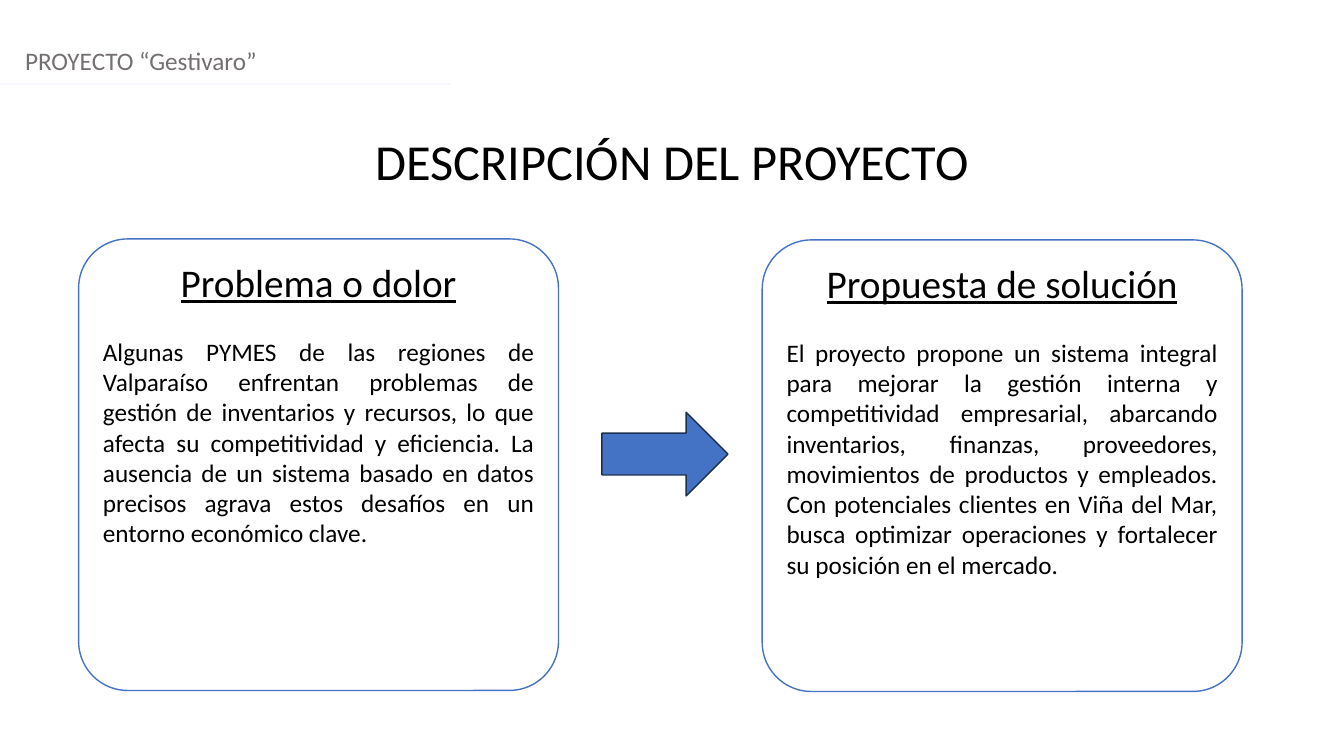
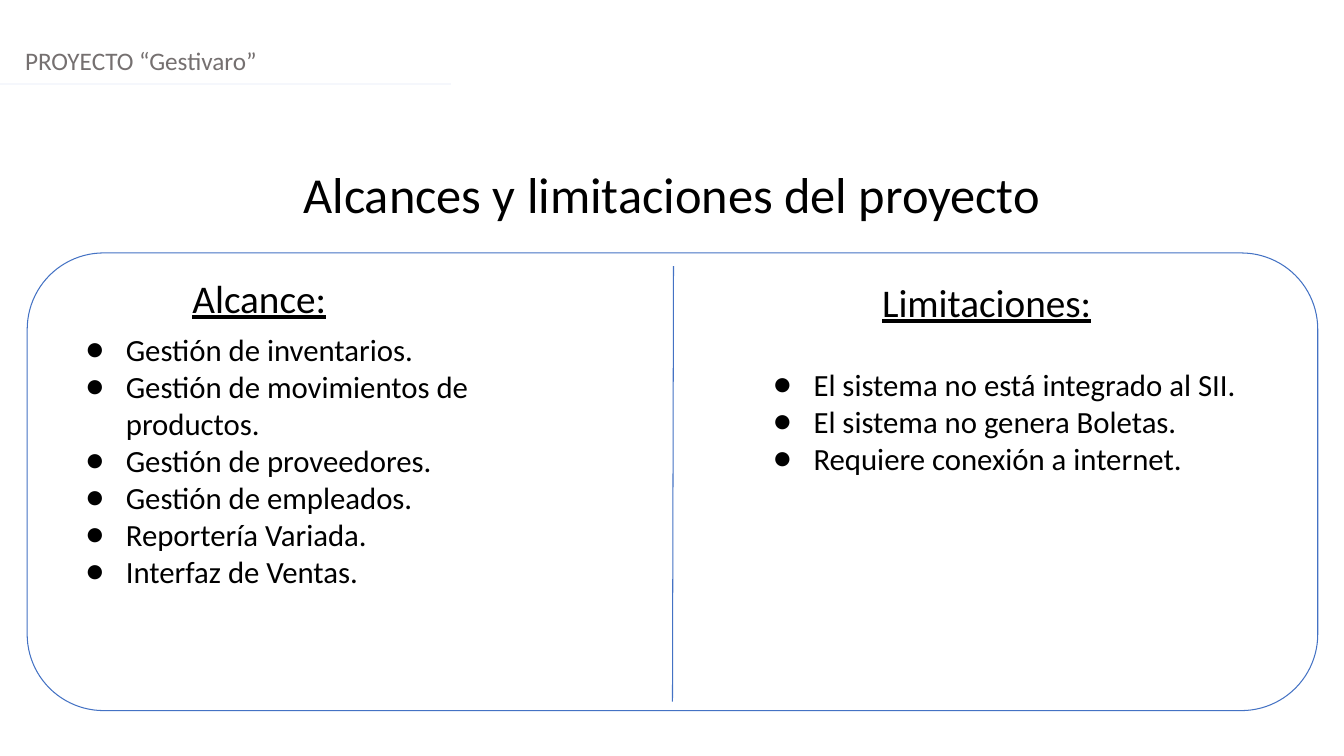
from lxml.etree import SubElement
from pptx import Presentation
from pptx.dml.color import RGBColor
from pptx.enum.shapes import MSO_CONNECTOR, MSO_SHAPE
from pptx.enum.text import MSO_ANCHOR, PP_ALIGN
from pptx.oxml.ns import qn
from pptx.util import Inches, Pt

FONT = "Calibri"
BLACK, GRAY, WHITE = "000000", "757070", "FFFFFF"
BLUE, NAVY, PALE = "4472C4", "1C3052", "F5F7FC"
SLIDE_WIDTH, SLIDE_HEIGHT = 13.33, 7.5
TITLE_SIZE, HEADING_SIZE, LIST_SIZE, BODY_SIZE = 36, 28, 22, 18
CARD_TEXT_GAP = 22

PROBLEM = (
    "Algunas PYMES de las regiones de Valparaíso enfrentan problemas de gestión de "
    "inventarios y recursos, lo que afecta su competitividad y eficiencia. La ausencia "
    "de un sistema basado en datos precisos agrava estos desafíos en un entorno "
    "económico clave."
)
PROPOSAL = (
    "El proyecto propone un sistema integral para mejorar la gestión interna y "
    "competitividad empresarial, abarcando inventarios, finanzas, proveedores, "
    "movimientos de productos y empleados. Con potenciales clientes en Viña del Mar, "
    "busca optimizar operaciones y fortalecer su posición en el mercado."
)
SCOPE = [
    "Gestión de inventarios.",
    "Gestión de movimientos de productos.",
    "Gestión de proveedores.",
    "Gestión de empleados.",
    "Reportería Variada.",
    "Interfaz de Ventas.",
]
LIMITS = [
    "El sistema no está integrado al SII.",
    "El sistema no genera Boletas.",
    "Requiere conexión a internet.",
]


def color(value):
    """Turn a hex string into a colour."""
    return RGBColor.from_string(value)


def write(paragraph, text, size, ink=BLACK, align=PP_ALIGN.LEFT, underline=False):
    """Fill a paragraph with text in the deck's font."""
    paragraph.text = text
    paragraph.alignment = align
    font = paragraph.font
    font.name, font.size, font.underline = FONT, Pt(size), underline
    font.color.rgb = color(ink)


def add_frame(slide, left, top, width, height, inset=0.05):
    """Add a wrapping text box and return its text frame."""
    box = slide.shapes.add_textbox(*map(Inches, (left, top, width, height)))
    frame = box.text_frame
    frame.word_wrap = True
    frame.margin_top = frame.margin_bottom = Inches(inset)
    return frame


def add_line(slide, start, end, ink, weight):
    """Draw a straight line without a shadow."""
    line = slide.shapes.add_connector(MSO_CONNECTOR.STRAIGHT, *map(Inches, start + end))
    line.line.color.rgb = color(ink)
    line.line.width = Pt(weight)
    SubElement(line._element.spPr, qn("a:effectLst"))


def add_block(slide, kind, place, adjustments, fill, outline, weight=1):
    """Add a preset shape with an optional fill."""
    block = slide.shapes.add_shape(kind, *map(Inches, place))
    block.shadow.inherit = False
    for index, value in enumerate(adjustments):
        block.adjustments[index] = value
    if fill:
        block.fill.solid()
        block.fill.fore_color.rgb = color(fill)
    else:
        block.fill.background()
    block.line.color.rgb = color(outline)
    block.line.width = Pt(weight)
    return block


def add_card(slide, left, top, heading, body):
    """Add a rounded card with a heading and justified text."""
    card = add_block(slide, MSO_SHAPE.ROUNDED_RECTANGLE, (left, top, 4.76, 4.48),
                     [0.109], WHITE, BLUE)
    frame = card.text_frame
    frame.word_wrap = True
    frame.vertical_anchor = MSO_ANCHOR.TOP
    write(frame.paragraphs[0], heading, HEADING_SIZE, align=PP_ALIGN.CENTER, underline=True)
    frame.paragraphs[0].space_after = Pt(CARD_TEXT_GAP)
    write(frame.add_paragraph(), body, BODY_SIZE, align=PP_ALIGN.JUSTIFY)


def add_heading(slide, left, top, width, text):
    """Add an underlined column heading."""
    frame = add_frame(slide, left, top, width, 0.63, inset=0.1)
    write(frame.paragraphs[0], text, HEADING_SIZE, underline=True)


def add_bullet(paragraph):
    """Give a paragraph a black dot and a hanging indent."""
    properties = paragraph._p.get_or_add_pPr()
    properties.set("marL", str(Inches(0.5)))
    properties.set("indent", str(Inches(-0.4)))
    dot_color = SubElement(properties, qn("a:buClr"))
    SubElement(dot_color, qn("a:srgbClr"), val=BLACK)
    SubElement(properties, qn("a:buFont"), typeface=FONT)
    SubElement(properties, qn("a:buChar"), char="●")


def add_list(slide, left, top, width, height, items):
    """Add a bulleted list."""
    frame = add_frame(slide, left, top, width, height, inset=0.1)
    for index, item in enumerate(items):
        paragraph = frame.add_paragraph() if index else frame.paragraphs[0]
        add_bullet(paragraph)
        write(paragraph, item, LIST_SIZE)


def add_project_slide(deck, title, title_top):
    """Add a slide with the project band and a centred title."""
    slide = deck.slides.add_slide(deck.slide_layouts[6])
    band = add_frame(slide, 0.15, 0.4, SLIDE_WIDTH - 0.3, 0.4)
    write(band.paragraphs[0], "PROYECTO “Gestivaro”", BODY_SIZE, GRAY)
    heading = add_frame(slide, 0, title_top, SLIDE_WIDTH, 0.71)
    write(heading.paragraphs[0], title, TITLE_SIZE, align=PP_ALIGN.CENTER)
    add_line(slide, (0, 0.83), (4.47, 0.83), PALE, 1.25)
    return slide


def build_description(deck):
    """Build the slide that leads from problem to proposal."""
    slide = add_project_slide(deck, "DESCRIPCIÓN DEL PROYECTO", 1.24)
    add_card(slide, 0.78, 2.37, "Problema o dolor", PROBLEM)
    add_card(slide, 7.56, 2.38, "Propuesta de solución", PROPOSAL)
    add_block(slide, MSO_SHAPE.RIGHT_ARROW, (5.97, 4.09, 1.25, 0.83),
              [0.5, 0.5], BLUE, NAVY)


def build_scope(deck):
    """Build the slide that sets scope beside limitations."""
    slide = add_project_slide(deck, "Alcances y limitaciones del proyecto", 1.57)
    add_block(slide, MSO_SHAPE.ROUNDED_RECTANGLE, (0.27, 2.51, 12.8, 4.54),
              [0.167], None, BLUE, 0.75)
    add_line(slide, (6.68, 2.64), (6.67, 6.96), BLUE, 0.75)
    add_heading(slide, 1.81, 2.62, 1.98, "Alcance:")
    add_list(slide, 0.65, 3.18, 5.09, 3.6, SCOPE)
    add_heading(slide, 8.65, 2.66, 2.38, "Limitaciones:")
    add_list(slide, 7.47, 3.53, 5.39, 3.44, LIMITS)


def main():
    """Build and save the deck."""
    deck = Presentation()
    deck.slide_width, deck.slide_height = Inches(SLIDE_WIDTH), Inches(SLIDE_HEIGHT)
    build_description(deck)
    build_scope(deck)
    deck.save("out.pptx")


if __name__ == "__main__":
    main()
